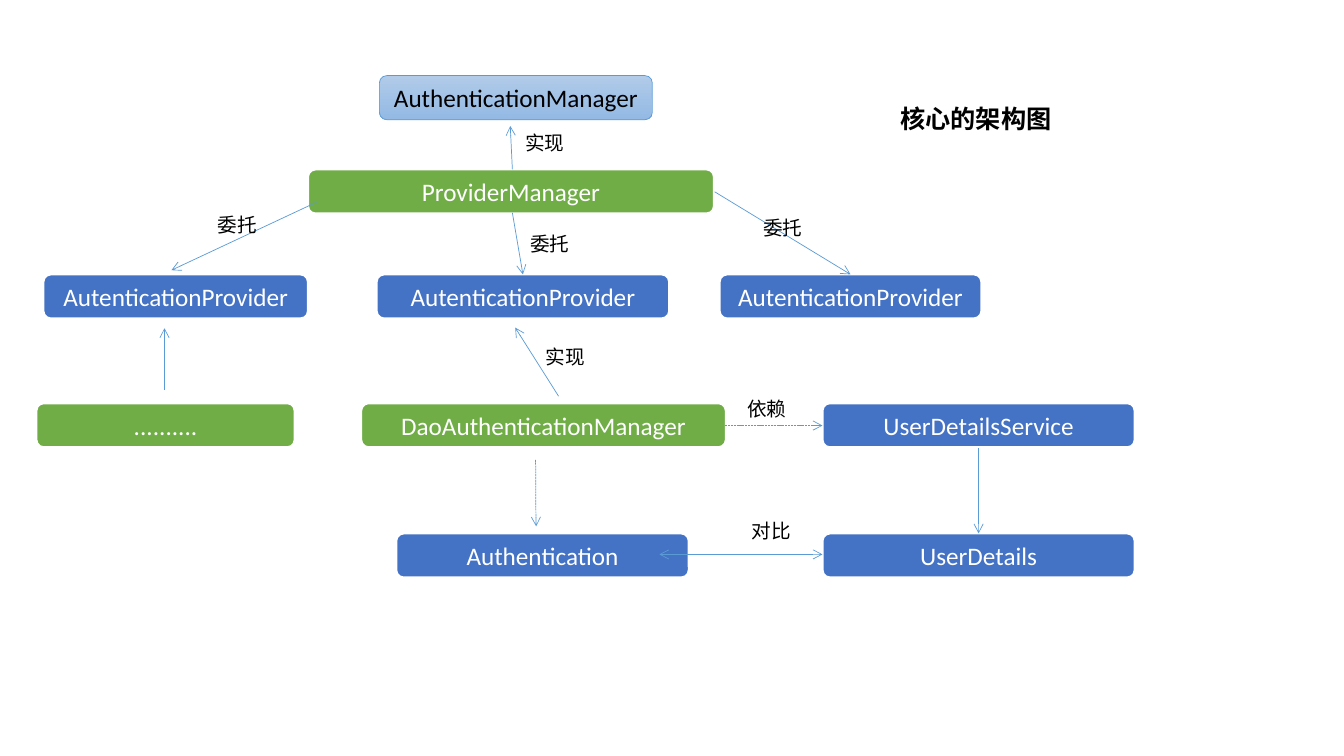
from lxml import etree
from pptx import Presentation
from pptx.dml.color import RGBColor
from pptx.enum.dml import MSO_LINE
from pptx.enum.shapes import MSO_CONNECTOR, MSO_SHAPE
from pptx.enum.text import MSO_ANCHOR, MSO_AUTO_SIZE, PP_ALIGN
from pptx.oxml.ns import qn
from pptx.util import Pt

COLORS = {"blue": "4472C4", "green": "70AD47", "sky_top": "B1CBE9",
          "sky_bottom": "93B9E4", "line": "5B9BD5", "white": "FFFFFF", "black": "000000"}
NODE_H = 31.5
LABEL_W, LABEL_H = 42.5, 24.5

# Nodes: text, left, top, width, style. Links: x1, y1, x2, y2, style.
# Labels: text, left, top. All relative to the region's top left corner.
PROVIDERS = {
    "nodes": [("AuthenticationManager", 240, 0, 195, "sky"),
              ("ProviderManager", 189, 67, 290, "green")]
             + [("AutenticationProvider", x, 142, w, "blue")
                for x, w in ((0, 189), (238, 209), (483, 187))],
    "links": [(335, 67, 333.5, 36, "solid"), (195, 90.5, 91.5, 139, "solid"),
              (335, 98, 342.5, 142, "solid"), (479.5, 83, 576.5, 142, "solid")],
    "labels": [("实现", 337, 36), ("委托", 340.5, 108), ("委托", 507, 97), ("委托", 117.5, 94.5)],
}
USER_CHECK = {
    "nodes": [("..........", 0, 0, 184.5, "green"),
              ("DaoAuthenticationManager", 232, 0, 260.5, "green"),
              ("UserDetailsService", 561.5, 0, 223, "blue"),
              ("Authentication", 257, 93, 209, "blue"),
              ("UserDetails", 561.5, 93, 223, "blue")],
    "links": [(91.5, -9.5, 91.5, -53.5, "solid"), (373, -5, 342, -54, "solid"),
              (492, 16, 561.5, 16, "dashed"), (673, 32, 673, 93, "solid"),
              (356.5, 40.5, 357, 88, "dashed"), (445, 108, 561.5, 108, "double")],
    "labels": [("依赖", 500.5, -8), ("实现", 356.5, -45.5), ("对比", 504, 79)],
}


def rgb(name):
    return RGBColor.from_string(COLORS[name])


def write(tf, text, color, align, **font):
    p = tf.paragraphs[0]
    p.alignment = align
    r = p.add_run()
    r.text = text
    r.font.color.rgb = rgb(color)
    for key, value in {"name": "Calibri", "size": Pt(18), **font}.items():
        setattr(r.font, key, value)


def add_node(slide, box, text, style):
    sp = slide.shapes.add_shape(MSO_SHAPE.ROUNDED_RECTANGLE, *map(Pt, box))
    sp.shadow.inherit = False
    is_sky = style == "sky"
    if is_sky:
        sp.fill.gradient()
        sp.fill.gradient_angle = 270
        for stop, name in zip(sp.fill.gradient_stops, ("sky_top", "sky_bottom")):
            stop.color.rgb = rgb(name)
    else:
        sp.fill.solid()
        sp.fill.fore_color.rgb = rgb(style)
    sp.line.color.rgb = rgb("line" if is_sky else "white")
    sp.line.width = Pt(0.5 if is_sky else 1.5)
    sp.text_frame.vertical_anchor = MSO_ANCHOR.MIDDLE
    write(sp.text_frame, text, "black" if is_sky else "white", PP_ALIGN.CENTER)


def add_link(slide, ends, style):
    dashed = style == "dashed"
    kind = MSO_CONNECTOR.CURVE if dashed else MSO_CONNECTOR.STRAIGHT
    link = slide.shapes.add_connector(kind, *map(Pt, ends))
    link.line.color.rgb = rgb("line")
    link.line.width = Pt(0.5)
    if dashed:
        link.line.dash_style = MSO_LINE.SQUARE_DOT
    ln = link.line._get_or_add_ln()
    for tag in ("a:headEnd", "a:tailEnd") if style == "double" else ("a:tailEnd",):
        etree.SubElement(ln, qn(tag), type="arrow")
    etree.SubElement(link._element.spPr, qn("a:effectLst"))


def add_text(slide, box, text, **font):
    tf = slide.shapes.add_textbox(*map(Pt, box)).text_frame
    tf.word_wrap = False
    tf.auto_size = MSO_AUTO_SIZE.SHAPE_TO_FIT_TEXT
    write(tf, text, "black", PP_ALIGN.LEFT, **font)


def add_region(slide, left, top, parts):
    """Draw the nodes, links and labels of one region from its top left corner."""
    for text, x, y, w, style in parts["nodes"]:
        add_node(slide, (left + x, top + y, w, NODE_H), text, style)
    for x1, y1, x2, y2, style in parts["links"]:
        add_link(slide, (left + x1, top + y1, left + x2, top + y2), style)
    for text, x, y in parts["labels"]:
        add_text(slide, (left + x, top + y, LABEL_W, LABEL_H), text, size=Pt(14))


def main():
    prs = Presentation()
    prs.slide_width, prs.slide_height = Pt(960), Pt(540)
    slide = prs.slides.add_slide(prs.slide_layouts[6])
    add_text(slide, (636, 70.5, 123, 29), "核心的架构图", bold=True)
    add_region(slide, 31, 54, PROVIDERS)
    add_region(slide, 26, 288, USER_CHECK)
    prs.save("out.pptx")


if __name__ == "__main__":
    main()
